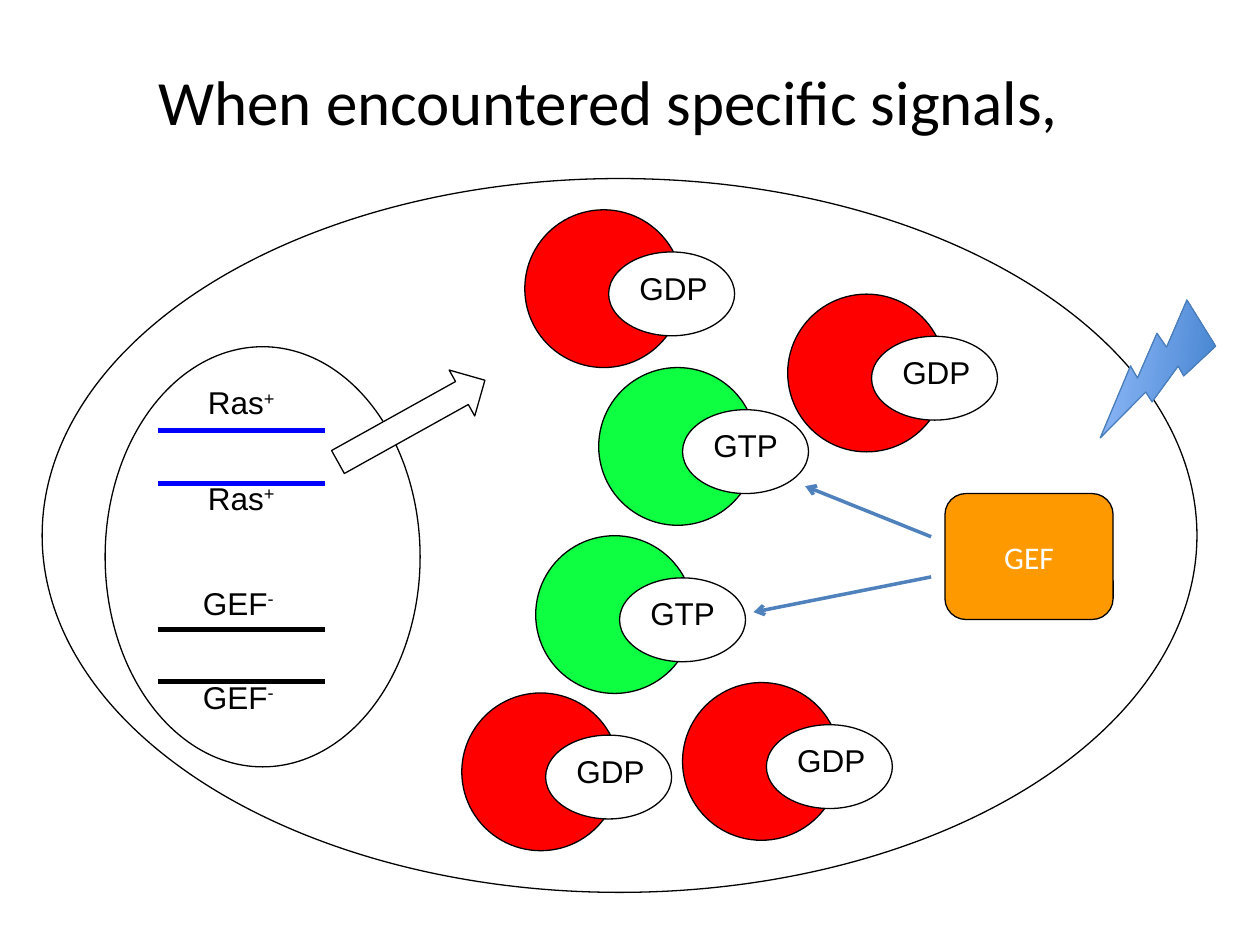
import pptx
import pptx.dml.color
import pptx.enum.shapes
import pptx.enum.text
import pptx.oxml.ns
import pptx.util
from lxml import etree

Cm = pptx.util.Cm
Pt = pptx.util.Pt
SHAPE = pptx.enum.shapes.MSO_SHAPE
ALIGN = pptx.enum.text.PP_ALIGN
ANCHOR = pptx.enum.text.MSO_ANCHOR
FIT = pptx.enum.text.MSO_AUTO_SIZE
qn = pptx.oxml.ns.qn

BLACK, WHITE = "000000", "FFFFFF"
INACTIVE, ACTIVE = "FF0000", "0EFF42"


def color(value):
    return pptx.dml.color.RGBColor.from_string(value)


class Diagram:
    body_font = "Arial"
    heading_font = "Calibri"
    text_size = 18
    outline_width = 0.75

    def __init__(self, slide):
        self.slide = slide

    def run(self, paragraph, text, font, size, ink, raised=False):
        piece = paragraph.add_run()
        piece.text = text
        piece.font.name = font
        piece.font.size = Pt(size)
        piece.font.color.rgb = color(ink)
        if raised:
            piece.font._element.set("baseline", "30000")

    def title(self, text, left, top, width, height):
        heading = self.slide.shapes.add_textbox(Cm(left), Cm(top), Cm(width), Cm(height))
        frame = heading.text_frame
        frame.word_wrap = True
        frame.vertical_anchor = ANCHOR.MIDDLE
        frame.paragraphs[0].alignment = ALIGN.CENTER
        self.run(frame.paragraphs[0], text, self.heading_font, 36, BLACK)

    def label(self, text, left, top, width, superscript=None):
        caption = self.slide.shapes.add_textbox(Cm(left), Cm(top), Cm(width), Cm(1.02))
        frame = caption.text_frame
        frame.word_wrap = False
        frame.auto_size = FIT.SHAPE_TO_FIT_TEXT
        paragraph = frame.paragraphs[0]
        self.run(paragraph, text, self.body_font, self.text_size, BLACK)
        if superscript:
            self.run(paragraph, superscript, self.body_font, self.text_size, BLACK, True)

    def shape(self, kind, left, top, width, height, fill=None, line=BLACK, rotation=0):
        figure = self.slide.shapes.add_shape(kind, Cm(left), Cm(top), Cm(width), Cm(height))
        figure.shadow.inherit = False
        figure.rotation = rotation
        if fill:
            figure.fill.solid()
            figure.fill.fore_color.rgb = color(fill)
        else:
            figure.fill.background()
        figure.line.color.rgb = color(line)
        figure.line.width = Pt(self.outline_width)
        return figure

    def protein(self, text, left, top, width, height, fill):
        body = self.shape(SHAPE.ROUNDED_RECTANGLE, left, top, width, height, fill)
        frame = body.text_frame
        frame.word_wrap = True
        frame.vertical_anchor = ANCHOR.MIDDLE
        frame.paragraphs[0].alignment = ALIGN.CENTER
        self.run(frame.paragraphs[0], text, self.heading_font, self.text_size, WHITE)

    def ras_complex(self, nucleotide, left, top, fill):
        self.shape(SHAPE.OVAL, left, top, 3.18, 3.18, fill)
        self.shape(SHAPE.OVAL, left + 1.69, top + 0.85, 2.54, 1.69, WHITE)
        self.label(nucleotide, left + 2.06, top + 1.06, 1.88)

    def signal(self, left, top, size, rotation, start, end):
        bolt = self.shape(SHAPE.LIGHTNING_BOLT, left, top, size, size,
                          line="4A7EBB", rotation=rotation)
        bolt.fill.gradient()
        bolt.fill.gradient_angle = 353
        for stop, shade in zip(bolt.fill.gradient_stops, (start, end)):
            stop.color.rgb = color(shade)
        bolt._element.spPr.find(qn("a:gradFill")).set("rotWithShape", "0")

    def line(self, start, end, stroke, width, arrow=False):
        link = self.slide.shapes.add_connector(
            pptx.enum.shapes.MSO_CONNECTOR.STRAIGHT,
            Cm(start[0]), Cm(start[1]), Cm(end[0]), Cm(end[1]))
        link.line.color.rgb = color(stroke)
        link.line.width = Pt(width)
        if arrow:
            etree.SubElement(link.line._get_or_add_ln(), qn("a:tailEnd"), type="arrow")
        etree.SubElement(link._element.spPr, qn("a:effectLst"))

    def gene(self, name, allele, label_left, width, label_tops, strand_tops, stroke):
        for strand_top in strand_tops:
            self.line((3.18, strand_top), (6.56, strand_top), stroke, 3)
        for label_top in label_tops:
            self.label(name, label_left, label_top, width, allele)


def main():
    deck = pptx.Presentation()
    deck.slide_width, deck.slide_height = Cm(25.4), Cm(19.05)
    diagram = Diagram(deck.slides.add_slide(deck.slide_layouts[6]))

    diagram.title("When encountered specific signals,", 1.47, 0.64, 21.59, 2.75)
    diagram.shape(SHAPE.OVAL, 0.85, 3.6, 23.28, 14.39)

    for nucleotide, left, top, fill in (
        ("GDP", 10.58, 4.23, INACTIVE),
        ("GDP", 9.31, 13.97, INACTIVE),
        ("GTP", 10.8, 10.8, ACTIVE),
        ("GDP", 13.76, 13.76, INACTIVE),
        ("GDP", 15.88, 5.93, INACTIVE),
        ("GTP", 12.07, 7.41, ACTIVE),
    ):
        diagram.ras_complex(nucleotide, left, top, fill)

    diagram.signal(22.01, 6.14, 2.54, 82.8, "9BC1FF", "3F80CD")
    diagram.protein("GEF", 19.05, 9.95, 3.39, 2.54, "FF9900")
    diagram.line((18.77, 10.82), (16.23, 9.8), "4F81BD", 2, arrow=True)
    diagram.line((18.77, 11.63), (15.19, 12.34), "4F81BD", 2, arrow=True)

    diagram.shape(SHAPE.OVAL, 2.12, 6.99, 6.35, 8.47)
    diagram.gene("Ras", "+", 3.94, 1.86, (7.6, 9.53), (8.68, 9.74), "0000FF")
    diagram.gene("GEF", "-", 3.84, 1.94, (11.64, 13.54), (12.69, 13.74), BLACK)
    diagram.shape(SHAPE.RIGHT_ARROW, 6.6, 7.96, 3.39, 1.06, WHITE, rotation=330.9)

    deck.save("out.pptx")


if __name__ == "__main__":
    main()
